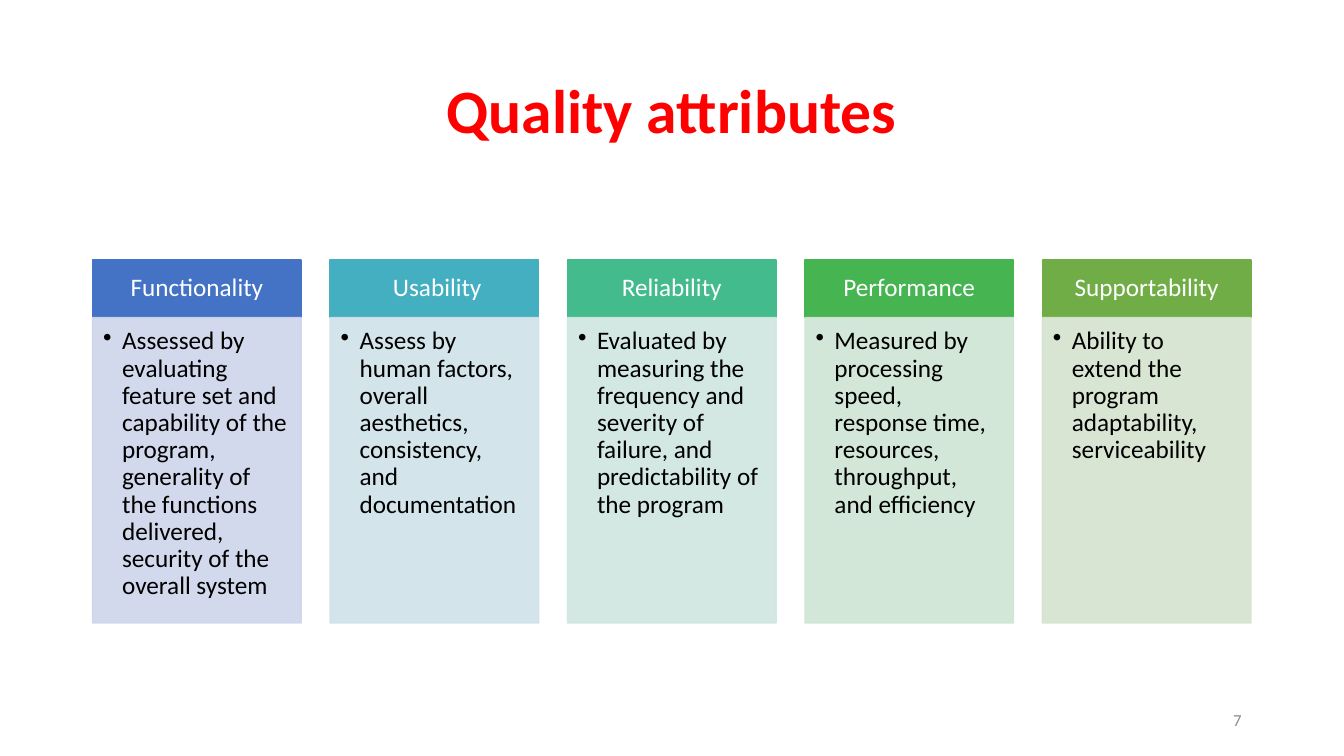
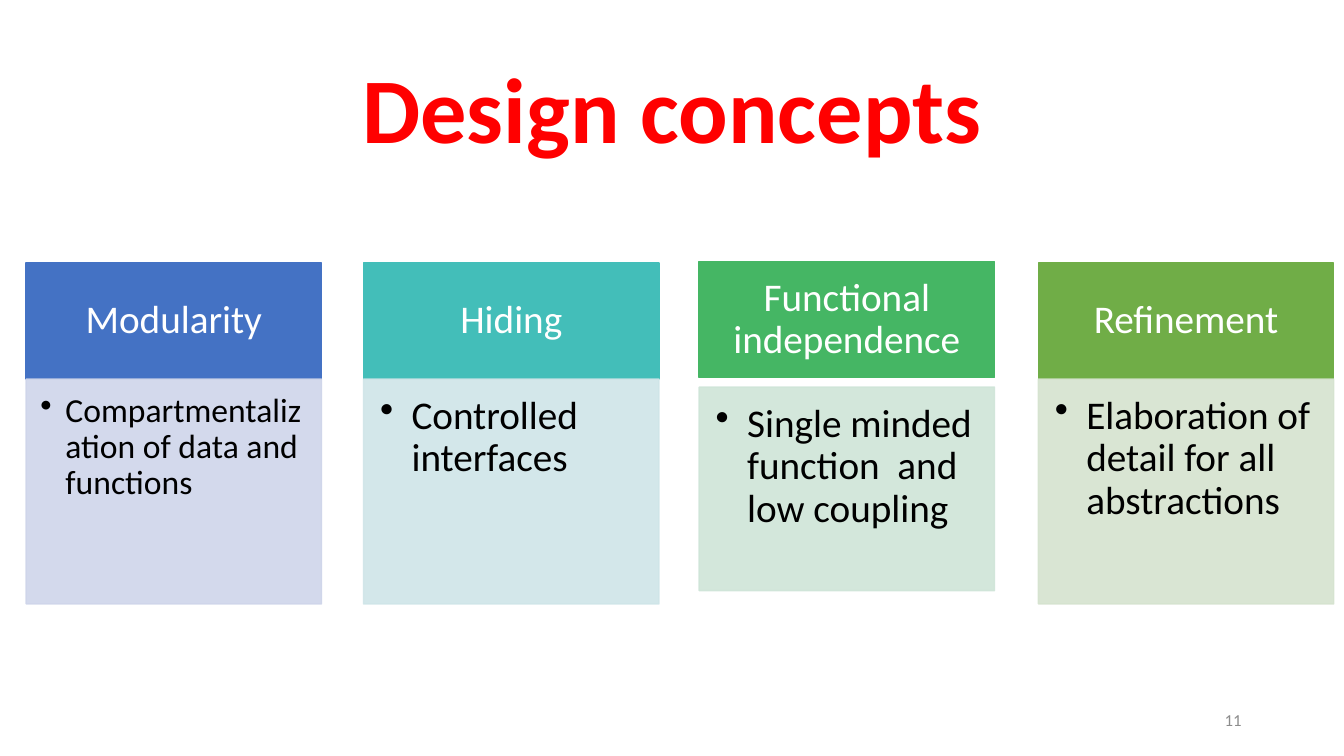
from dataclasses import dataclass

from lxml import etree
from pptx import Presentation
from pptx.dml.color import RGBColor
from pptx.enum import shapes, text
from pptx.oxml import ns
from pptx.util import Pt

RED = RGBColor(0xFF, 0x00, 0x00)
WHITE = RGBColor(0xFF, 0xFF, 0xFF)
BLACK = RGBColor(0x00, 0x00, 0x00)
GREY = RGBColor(0x8C, 0x8C, 0x8C)

BLUE = RGBColor(0x44, 0x72, 0xC4)
CYAN = RGBColor(0x43, 0xAF, 0xC0)
TURQUOISE = RGBColor(0x43, 0xBE, 0xB9)
SEA_GREEN = RGBColor(0x43, 0xBB, 0x8D)
EMERALD = RGBColor(0x45, 0xB6, 0x64)
GREEN = RGBColor(0x45, 0xB4, 0x51)
OLIVE = RGBColor(0x70, 0xAD, 0x47)

PALE_BLUE = RGBColor(0xCF, 0xD5, 0xEA)
PALE_CYAN = RGBColor(0xCF, 0xE2, 0xE8)
PALE_TURQUOISE = RGBColor(0xCF, 0xE5, 0xE8)
PALE_SEA_GREEN = RGBColor(0xCF, 0xE6, 0xE0)
PALE_EMERALD = RGBColor(0xCF, 0xE5, 0xD8)
PALE_GREEN = RGBColor(0xCF, 0xE5, 0xD4)
PALE_OLIVE = RGBColor(0xD5, 0xE3, 0xCF)

BULLET_INDENTS = {18: 13.5, 24: 18, 28: 22.5}


@dataclass
class Column:
    heading: str
    detail: str
    color: RGBColor
    pale: RGBColor
    detail_size: int
    left: float
    top: float
    width: float
    heading_height: float
    detail_top: float
    detail_height: float


class Deck:
    """Holds the shared style and the slide being built."""

    font_name = "Calibri"

    def __init__(self):
        self.presentation = Presentation()
        self.presentation.slide_width = Pt(960)
        self.presentation.slide_height = Pt(540)
        self.slide = None

    def add_slide(self, title, title_size, number):
        layout = self.presentation.slide_layouts[6]
        self.slide = self.presentation.slides.add_slide(layout)
        self.text_box(title, (66, 28.8, 828, 104.4), title_size, RED,
                      text.PP_ALIGN.CENTER, bold=True)
        self.text_box(number, (678, 500.4, 216, 28.8), 12, GREY,
                      text.PP_ALIGN.RIGHT)

    def set_text(self, shape, words, size, color, alignment, bold=False):
        shape.text_frame.word_wrap = True
        paragraph = shape.text_frame.paragraphs[0]
        paragraph.text = words
        paragraph.alignment = alignment
        paragraph.line_spacing = 0.9
        font = paragraph.font
        font.name, font.size, font.bold = self.font_name, Pt(size), bold
        font.color.rgb = color

    def text_box(self, words, box, size, color, alignment, bold=False):
        shape = self.slide.shapes.add_textbox(*map(Pt, box))
        shape.text_frame.vertical_anchor = text.MSO_ANCHOR.MIDDLE
        self.set_text(shape, words, size, color, alignment, bold)

    def panel(self, box, color, anchor, margins):
        """Add a filled rectangle; margins are left, top, right, bottom."""
        shape = self.slide.shapes.add_shape(
            shapes.MSO_SHAPE.RECTANGLE, *map(Pt, box))
        shape.shadow.inherit = False
        shape.fill.solid()
        shape.fill.fore_color.rgb = color
        shape.line.color.rgb = color
        shape.line.width = Pt(1)
        frame = shape.text_frame
        frame.vertical_anchor = anchor
        (frame.margin_left, frame.margin_top,
         frame.margin_right, frame.margin_bottom) = map(Pt, margins)
        return shape

    def heading(self, words, box, color, size):
        side, end = 0.56 * size, 0.32 * size
        shape = self.panel(box, color, text.MSO_ANCHOR.MIDDLE,
                           (side, end, side, end))
        self.set_text(shape, words, size, WHITE, text.PP_ALIGN.CENTER)

    def detail(self, words, box, color, size):
        near = 0.42 * size
        shape = self.panel(box, color, text.MSO_ANCHOR.TOP,
                           (near, near, 0.56 * size, 0.63 * size))
        for color_element in shape.element.spPr.iter(ns.qn("a:srgbClr")):
            etree.SubElement(color_element, ns.qn("a:alpha"), val="90000")
        self.set_text(shape, words, size, BLACK, text.PP_ALIGN.LEFT)
        self.bullet(shape.text_frame.paragraphs[0], BULLET_INDENTS[size])

    def bullet(self, paragraph, indent):
        properties = paragraph.font._element.getparent()
        properties.set("marL", str(Pt(indent)))
        properties.set("indent", str(-Pt(indent)))
        character = etree.Element(ns.qn("a:buChar"), char="•")
        properties.find(ns.qn("a:defRPr")).addprevious(character)

    def column(self, column, heading_size):
        self.heading(column.heading,
                     (column.left, column.top, column.width,
                      column.heading_height),
                     column.color, heading_size)
        self.detail(column.detail,
                    (column.left, column.detail_top, column.width,
                     column.detail_height),
                    column.pale, column.detail_size)


def add_quality_attributes(deck):
    deck.add_slide("Quality attributes", 44, "7")
    attributes = [
        ("Functionality",
         "Assessed by evaluating feature set and capability of the program, "
         "generality of the functions delivered, security of the overall system",
         BLUE, PALE_BLUE),
        (" Usability",
         "Assess by human factors, overall aesthetics, consistency, "
         "and documentation",
         CYAN, PALE_CYAN),
        ("Reliability",
         "Evaluated by measuring the frequency and severity of failure, "
         "and predictability of the program",
         SEA_GREEN, PALE_SEA_GREEN),
        ("Performance",
         "Measured by processing speed, response time, resources, "
         "throughput, and efficiency",
         GREEN, PALE_GREEN),
        ("Supportability",
         "Ability to extend the program adaptability, serviceability",
         OLIVE, PALE_OLIVE),
    ]
    for index, attribute in enumerate(attributes):
        deck.column(Column(*attribute, detail_size=18,
                           left=66.2 + 169.6 * index, top=185.8, width=149,
                           heading_height=41, detail_top=226.8,
                           detail_height=218.2), 18)


def add_design_concepts(deck):
    deck.add_slide("Design concepts", 66, "11")
    concepts = [
        ("Modularity", "Compartmentalization of data and functions",
         BLUE, PALE_BLUE, 24),
        ("Hiding", "Controlled interfaces", TURQUOISE, PALE_TURQUOISE, 28),
        ("Functional independence", "Single minded function  and low coupling",
         EMERALD, PALE_EMERALD, 28),
        ("Refinement", "Elaboration of detail for all abstractions",
         OLIVE, PALE_OLIVE, 28),
    ]
    columns = [Column(*concept, left=18.7 + 241 * index, top=188, width=211,
                      heading_height=82.8, detail_top=270.8,
                      detail_height=160.6)
               for index, concept in enumerate(concepts)]
    independence = columns[2]
    independence.left = 499.4
    independence.top = 187
    independence.detail_top = 276.5
    independence.detail_height = 145.4
    for column in columns:
        deck.column(column, 28)


def main():
    deck = Deck()
    add_quality_attributes(deck)
    add_design_concepts(deck)
    deck.presentation.save("out.pptx")


if __name__ == "__main__":
    main()
